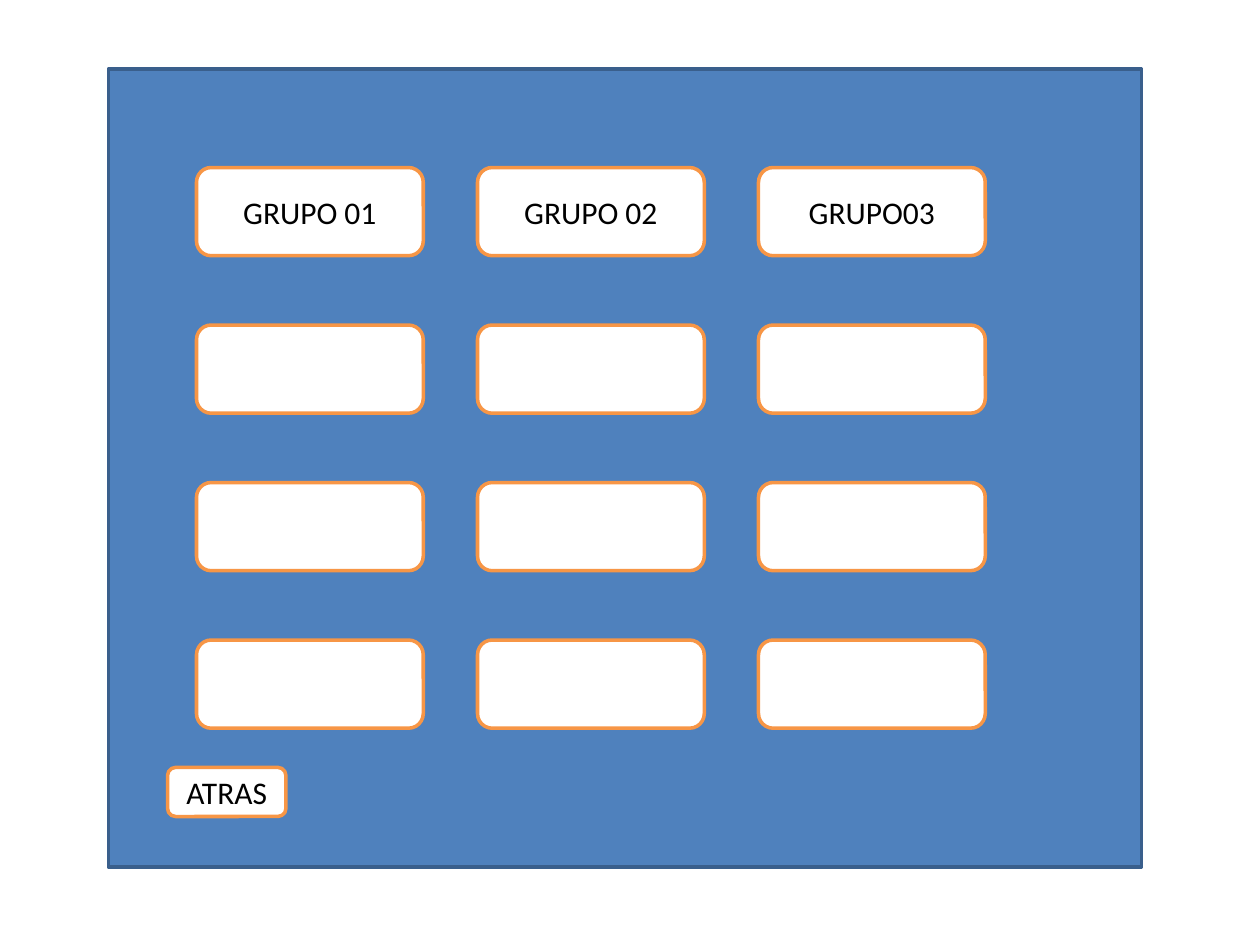
from collections import namedtuple

from pptx import Presentation
from pptx import util as u
from pptx.dml.color import RGBColor
from pptx.enum import shapes, text

COLORS = {"panel": "4F81BD", "panel_edge": "3A5F8C", "button": "FFFFFF",
          "button_edge": "F79646", "label": "000000"}
GROUPS = ["GRUPO 01", "GRUPO 02", "GRUPO03"]
ROWS = 4
Box = namedtuple("Box", "left top width height")


def add_block(page, kind, box, fill, edge):
    """Draw a filled, outlined shape in the box and return it."""
    block = page.shapes.add_shape(kind, *(u.Inches(length) for length in box))
    block.shadow.inherit = False
    block.fill.solid()
    block.fill.fore_color.rgb = RGBColor.from_string(COLORS[fill])
    block.line.color.rgb = RGBColor.from_string(COLORS[edge])
    block.line.width = u.Pt(2)
    return block


def add_panel(page, box):
    """Draw the blue panel behind the buttons."""
    add_block(page, shapes.MSO_SHAPE.RECTANGLE, box, "panel", "panel_edge")


def add_button(page, box, label=""):
    """Draw a rounded button, with a centred label if one is given."""
    button = add_block(page, shapes.MSO_SHAPE.ROUNDED_RECTANGLE, box,
                       "button", "button_edge")
    if label:
        frame = button.text_frame
        frame.word_wrap = True
        frame.vertical_anchor = text.MSO_ANCHOR.MIDDLE
        para = frame.paragraphs[0]
        para.text = label
        para.alignment = text.PP_ALIGN.CENTER
        para.font.name = "Calibri"
        para.font.size = u.Pt(18)
        para.font.color.rgb = RGBColor.from_string(COLORS["label"])


def add_button_grid(page, box, button_width, button_height):
    """Spread the group buttons evenly over the box, labels in the top row."""
    column_step = (box.width - button_width) / (len(GROUPS) - 1)
    row_step = (box.height - button_height) / (ROWS - 1)
    for column, group in enumerate(GROUPS):
        for row in range(ROWS):
            cell = Box(box.left + column * column_step,
                       box.top + row * row_step, button_width, button_height)
            add_button(page, cell, group if row == 0 else "")


def main():
    """Build the group menu slide and save it."""
    deck = Presentation()
    deck.slide_width, deck.slide_height = u.Inches(10), u.Inches(7.5)
    page = deck.slides.add_slide(deck.slide_layouts[6])
    add_panel(page, Box(0.86, 0.55, 8.2, 6.33))
    add_button_grid(page, Box(1.56, 1.33, 6.26, 4.45), 1.8, 0.7)
    add_button(page, Box(1.33, 6.09, 0.94, 0.39), "ATRAS")
    deck.save("out.pptx")


if __name__ == "__main__":
    main()
